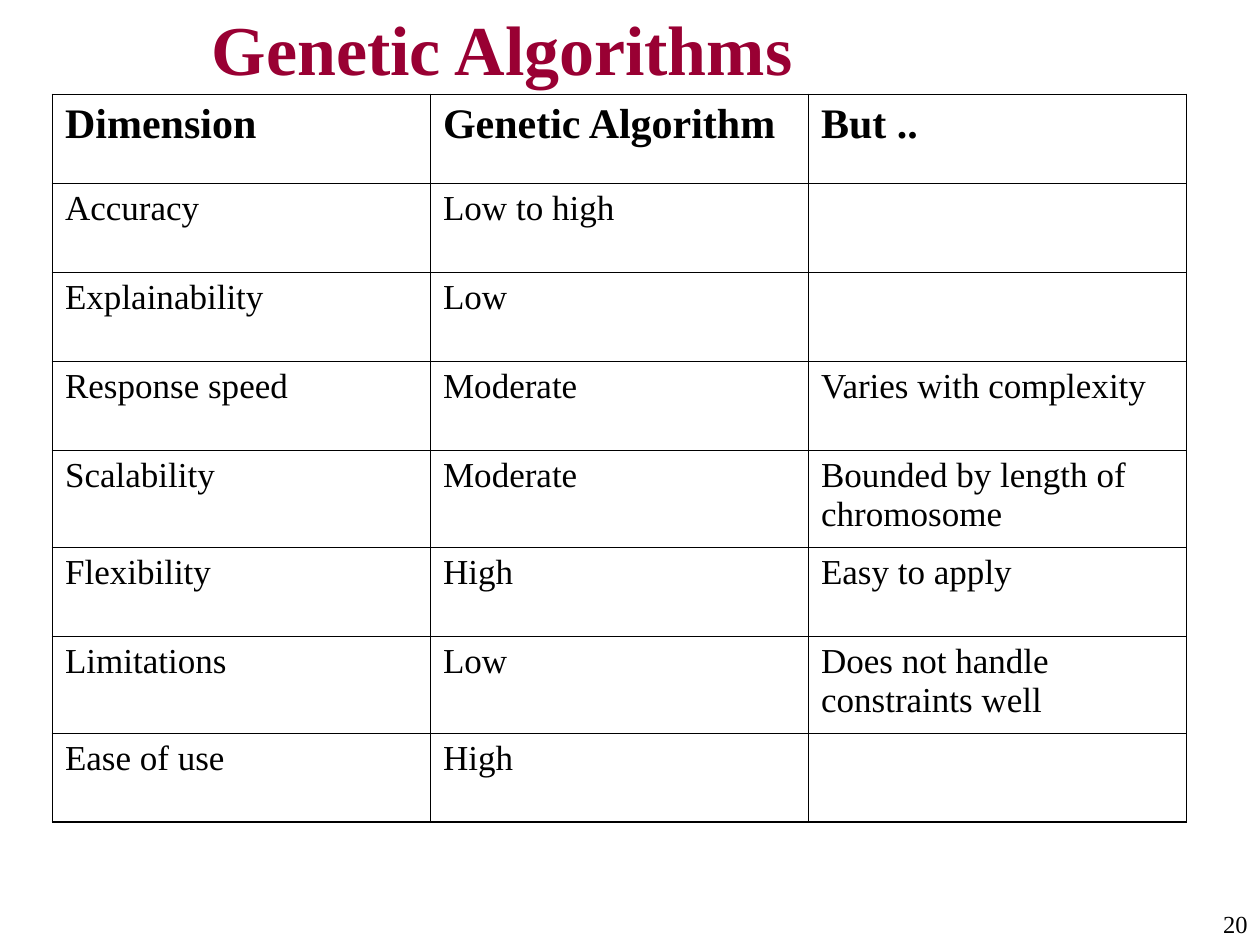
from dataclasses import dataclass

from lxml.etree import SubElement
from pptx import Presentation
from pptx.dml.color import RGBColor
from pptx.enum.text import MSO_ANCHOR as Anchor, PP_ALIGN as Align
from pptx.oxml.ns import qn
from pptx.util import Pt

COLORS = {"title": "990033", "text": "000000", "border": "000000"}
FONT = "Times New Roman"
OUTER, INNER = 1.08, 0.45
COL_WIDTH, ROW_HEIGHT, TALL_ROW_HEIGHT = 216, 50.8, 55.44


@dataclass
class TableRow:
    dimension: str
    rating: str
    caveat: str = ""
    height: float = ROW_HEIGHT

    @property
    def texts(self) -> tuple[str, str, str]:
        return self.dimension, self.rating, self.caveat


@dataclass
class Label:
    text: str
    left: float
    top: float
    width: float
    height: float
    size: float
    color: str = "text"
    bold: bool = False
    align: Align = Align.LEFT
    anchor: Anchor = Anchor.TOP


ROWS = [
    TableRow("Dimension", "Genetic Algorithm", "But .."),
    TableRow("Accuracy", "Low to high"),
    TableRow("Explainability", "Low"),
    TableRow("Response speed", "Moderate", "Varies with complexity"),
    TableRow("Scalability", "Moderate", "Bounded by length of chromosome", TALL_ROW_HEIGHT),
    TableRow("Flexibility", "High", "Easy to apply"),
    TableRow("Limitations", "Low", "Does not handle constraints well", TALL_ROW_HEIGHT),
    TableRow("Ease of use", "High"),
]
LABELS = [
    Label("20", 617.8, 516, 102.2, 24, 14, align=Align.RIGHT),
    Label("Genetic Algorithms", 114, 6, 606, 42, 40, "title", True, anchor=Anchor.MIDDLE),
]


def write_text(tf, text: str, *, size: float, color: str = "text", bold: bool = False,
               align: Align = Align.LEFT, before: float = 0) -> None:
    p = tf.paragraphs[0]
    p.alignment = align
    p.space_before = Pt(before)
    p.font.size = Pt(size)
    if not text:
        return
    r = p.add_run()
    r.text = text
    r.font.name = FONT
    r.font.size = Pt(size)
    r.font.bold = bold
    r.font.color.rgb = RGBColor.from_string(COLORS[color])


def add_label(slide, label: Label) -> None:
    box = slide.shapes.add_textbox(
        Pt(label.left), Pt(label.top), Pt(label.width), Pt(label.height))
    tf = box.text_frame
    tf.word_wrap = True
    tf.vertical_anchor = label.anchor
    write_text(tf, label.text, size=label.size, color=label.color,
               bold=label.bold, align=label.align)


def set_borders(cell, widths: dict[str, float]) -> None:
    """Draw the cell's sides; the lines must come before the fill in tcPr."""
    tc_pr = cell._tc.get_or_add_tcPr()
    for side, width in widths.items():
        ln = SubElement(tc_pr, qn(f"a:ln{side}"), w=str(Pt(width)))
        fill = SubElement(ln, qn("a:solidFill"))
        SubElement(fill, qn("a:srgbClr"), val=COLORS["border"])


def add_comparison_table(slide, rows: list[TableRow], left: float, top: float) -> None:
    n_rows, n_cols = len(rows), len(rows[0].texts)
    frame = slide.shapes.add_table(
        n_rows, n_cols, Pt(left), Pt(top),
        Pt(n_cols * COL_WIDTH), Pt(sum(row.height for row in rows)))
    table = frame.table
    table.first_row = table.horz_banding = False
    for col in table.columns:
        col.width = Pt(COL_WIDTH)
    for i, row in enumerate(rows):
        table.rows[i].height = Pt(row.height)
        header = i == 0
        for j, text in enumerate(row.texts):
            cell = table.cell(i, j)
            write_text(cell.text_frame, text, size=24 if header else 20,
                       bold=header, before=6 if header else 5)
            set_borders(cell, {
                "L": OUTER if j == 0 else INNER,
                "R": OUTER if j == n_cols - 1 else INNER,
                "T": OUTER if header else INNER,
                "B": OUTER if i == n_rows - 1 else INNER,
            })
            cell.fill.background()


def main() -> None:
    prs = Presentation()
    prs.slide_width, prs.slide_height = Pt(720), Pt(540)
    slide = prs.slides.add_slide(prs.slide_layouts[6])
    for label in LABELS:
        add_label(slide, label)
    add_comparison_table(slide, ROWS, 30, 54)
    prs.save("out.pptx")


if __name__ == "__main__":
    main()
